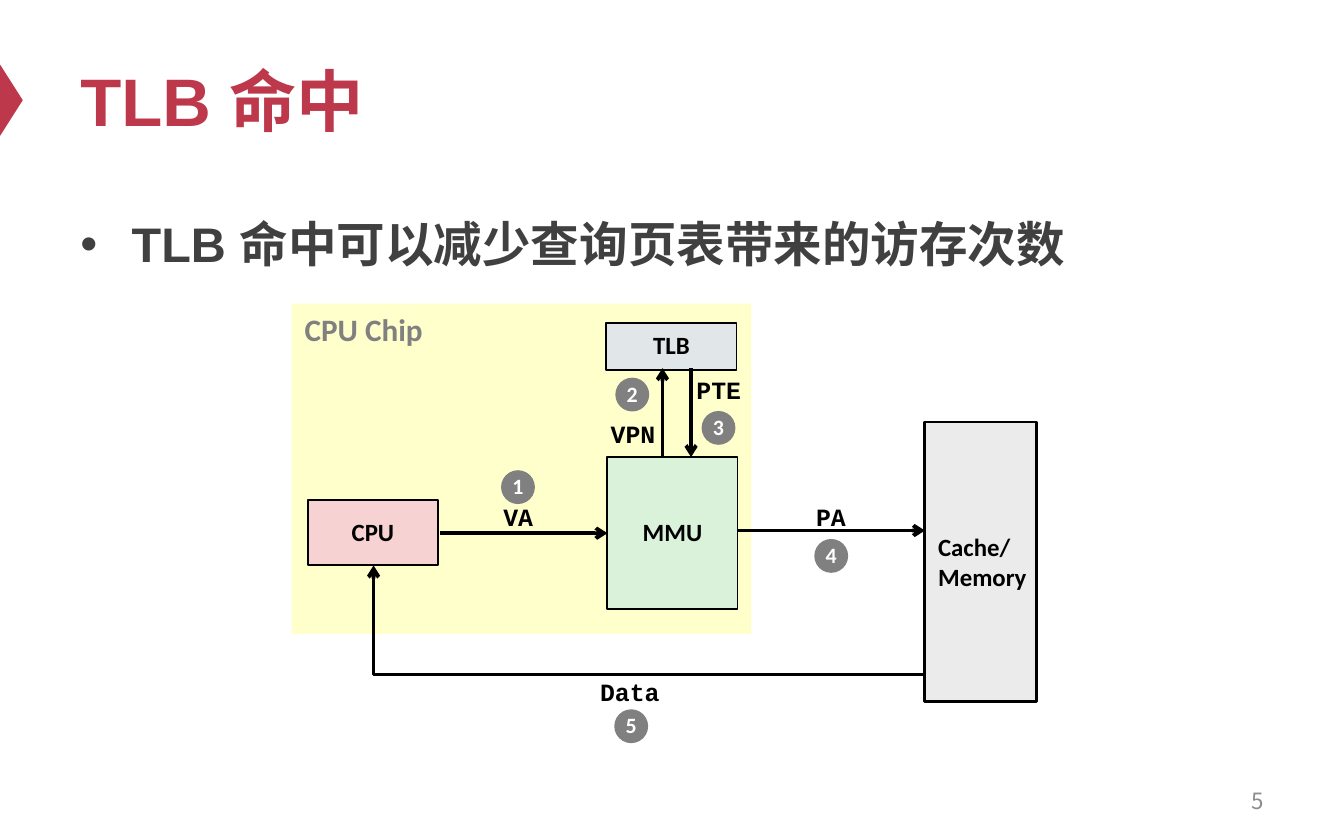
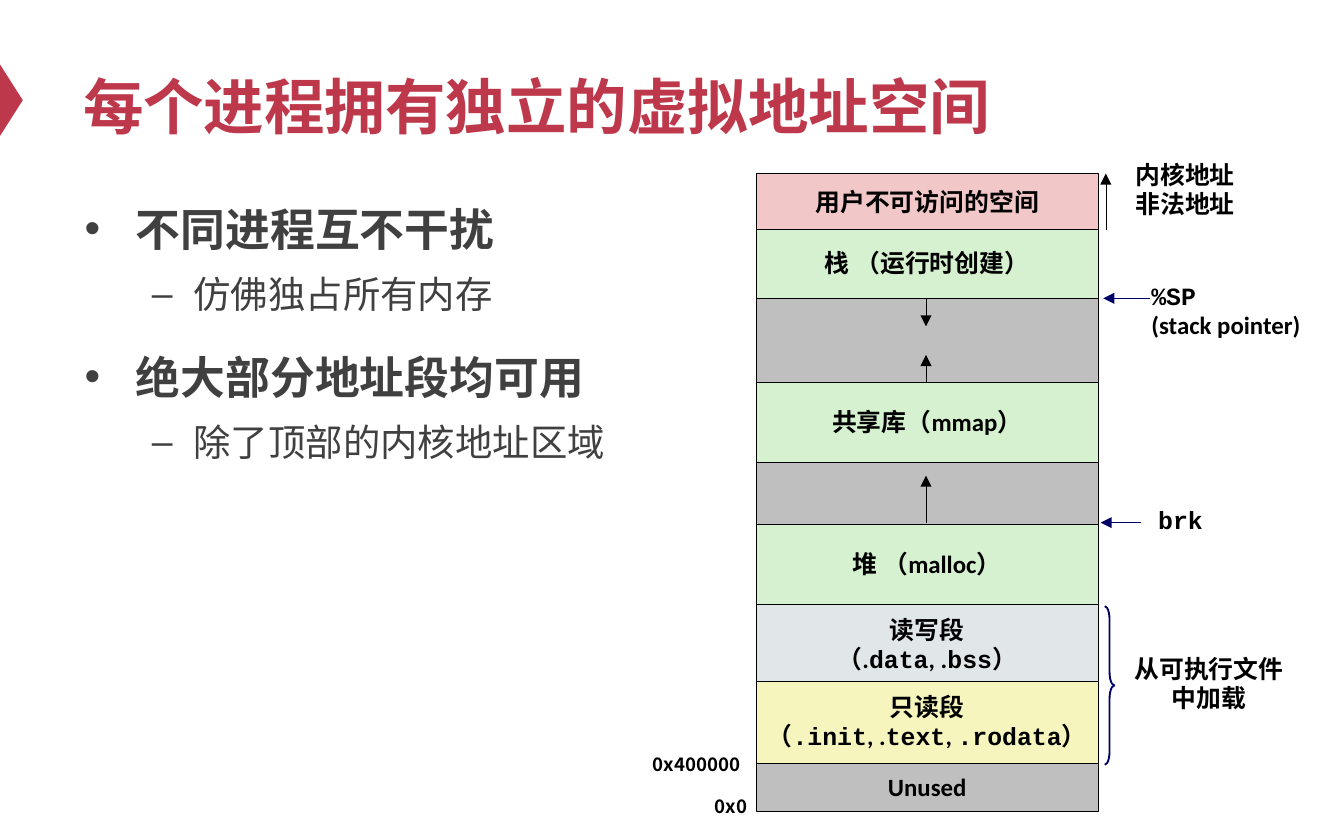
from lxml import etree
from pptx import Presentation
from pptx import util as u
from pptx.dml.color import RGBColor
from pptx.enum import shapes, text
from pptx.oxml.ns import qn

rgb = RGBColor.from_string
kind = shapes.MSO_SHAPE
LEFT, CENTER, RIGHT = text.PP_ALIGN.LEFT, text.PP_ALIGN.CENTER, text.PP_ALIGN.RIGHT
TOP, MIDDLE = text.MSO_ANCHOR.TOP, text.MSO_ANCHOR.MIDDLE

RED, GREY_TEXT, BADGE = "BE384B", "404040", "808080"
BLACK, WHITE, NAVY = "000000", "FFFFFF", "000066"
GREEN, STEEL, FREE = "D5F1CF", "E1E7E9", "BFBFBF"
SANS, MONO, CJK, HEADING = "Calibri", "Courier New", "Noto Sans CJK SC", "Arial"


def box(slide, place, lines=(), shape=None, fill=None, border=None, font=SANS, size=13.3,
        color=BLACK, bold=True, align=CENTER, anchor=MIDDLE, spacing=0.98, margin=0.2, wrap=False):
    """Add a shape, or a text box if shape is None; a line is a string or a list of (text, font)."""
    place = [u.Cm(v) for v in place]
    if shape is None:
        item = slide.shapes.add_textbox(*place)
    else:
        item = slide.shapes.add_shape(shape, *place)
        item.shadow.inherit = False
    if fill:
        item.fill.solid()
        item.fill.fore_color.rgb = rgb(fill)
    else:
        item.fill.background()
    if border:
        item.line.color.rgb = rgb(border[0])
        item.line.width = u.Pt(border[1])
    else:
        item.line.fill.background()

    frame = item.text_frame
    frame.word_wrap = wrap
    frame.vertical_anchor = anchor
    frame.margin_left = frame.margin_right = u.Cm(margin)
    frame.margin_top = frame.margin_bottom = u.Cm(margin / 2)
    for i, line in enumerate(lines):
        paragraph = frame.paragraphs[0] if i == 0 else frame.add_paragraph()
        paragraph.alignment = align
        paragraph.line_spacing = spacing
        for words, face in [(line, font)] if isinstance(line, str) else line:
            run = paragraph.add_run()
            run.text = words
            run.font.size = u.Pt(size)
            run.font.bold = bold
            run.font.color.rgb = rgb(color)
            run.font.name = face
            etree.SubElement(run.font._element, qn("a:ea"), typeface=CJK)
    return item


def arrow(slide, x1, y1, x2, y2, color=BLACK, width=0.25, head="triangle",
          route=shapes.MSO_CONNECTOR.STRAIGHT):
    link = slide.shapes.add_connector(route, u.Cm(x1), u.Cm(y1), u.Cm(x2), u.Cm(y2))
    link.line.color.rgb = rgb(color)
    link.line.width = u.Pt(width)
    etree.SubElement(link.line._get_or_add_ln(), qn("a:tailEnd"), type=head)
    etree.SubElement(link._element.spPr, qn("a:effectLst"))
    return link


deck = Presentation()
deck.slide_width, deck.slide_height = u.Cm(25.4), u.Cm(15.88)
hit, space = [deck.slides.add_slide(deck.slide_layouts[6]) for _ in range(2)]

# Marker, title and bullets of both slides
pages = [
    (hit, "TLB 命中", (1.27, 0.64, 22.86, 2.49), 36, HEADING,
     (1.27, 3.71, 22.86, 10.46), 26,
     [(0, "TLB 命中可以减少查询页表带来的访存次数")]),
    (space, "每个进程拥有独立的虚拟地址空间", (1.32, 0.84, 19.18, 2.29), 32.4, CJK,
     (1.35, 3.48, 19.41, 11.46), 24,
     [(0, "不同进程互不干扰"), (1, "仿佛独占所有内存"),
      (0, "绝大部分地址段均可用"), (1, "除了顶部的内核地址区域")]),
]
levels = [("•", 0.97, -0.97, 12), ("–", 2.06, -0.79, 4)]  # mark, margin, indent, space before
for slide, title, title_place, title_size, font, body_place, body_size, bullets in pages:
    marker = box(slide, (-0.46, 1.68, 1.35, 0.43), shape=kind.ISOSCELES_TRIANGLE, fill=RED)
    marker.rotation = 90
    box(slide, title_place, [title], font=font, size=title_size, color=RED, align=LEFT,
        spacing=1.0, margin=0.25, wrap=True)
    body = box(slide, body_place, [words for _, words in bullets], font=font, size=body_size,
               color=GREY_TEXT, align=LEFT, anchor=TOP, spacing=1.2, margin=0.25, wrap=True)
    for i, (level, _) in enumerate(bullets):
        mark, left, indent, before = levels[level]
        paragraph = body.text_frame.paragraphs[i]
        props = paragraph._p.get_or_add_pPr()
        props.set("marL", str(u.Cm(left)))
        props.set("indent", str(u.Cm(indent)))
        etree.SubElement(props, qn("a:buFont"), typeface="Arial")
        etree.SubElement(props, qn("a:buChar"), char=mark)
        paragraph.level = level
        if i:
            paragraph.space_before = u.Pt(before)
        if level:
            paragraph.runs[0].font.size = u.Pt(20)
            paragraph.runs[0].font.bold = False

# Slide 1: path of a TLB hit
box(hit, (18.21, 14.71, 5.92, 0.84), ["5"], font=CJK, size=12, color="8C8C8C", bold=False,
    align=RIGHT, spacing=1.0, margin=0.25, wrap=True)
box(hit, (5.51, 5.74, 8.69, 6.25), shape=kind.RECTANGLE, fill="FFFFCC")
box(hit, (5.51, 5.74, 2.77, 0.97), ["CPU Chip"], size=16.7, color=BADGE, align=LEFT,
    anchor=TOP, spacing=1.0, margin=0.25)
for name, fill, place in [
    ("MMU", "DBF2DA", (11.48, 8.64, 2.46, 2.87)),
    ("CPU", "F6D2D2", (5.82, 9.45, 2.46, 1.24)),
    ("TLB", STEEL, (11.46, 6.1, 2.46, 0.89)),
]:
    box(hit, place, [name], kind.RECTANGLE, fill, (BLACK, 1))
box(hit, (17.48, 7.98, 2.11, 5.28), ["Cache/", "Memory"], kind.RECTANGLE, "EBEBEB",
    (BLACK, 1.5), align=LEFT, spacing=1.0, margin=0.25)

for ends in [
    (8.31, 10.08, 11.48, 10.08),
    (12.52, 8.64, 12.52, 6.96),
    (13.06, 6.96, 13.06, 8.64),
    (13.94, 10.03, 17.48, 10.03),
]:
    arrow(hit, *ends, width=2, head="arrow")
data_return = arrow(hit, 7.06, 10.69, 17.48, 12.75, width=2, head="arrow",
                    route=shapes.MSO_CONNECTOR.ELBOW)
outline = data_return._element.spPr
outline.find(qn("a:prstGeom")).set("prst", "bentConnector2")
outline.find(qn("a:xfrm")).set("rot", "10800000")  # half turn: runs from memory back to the CPU

steps = [
    ("VA", (9.3, 9.4), 0.99, (9.47, 8.89)),
    ("VPN", (11.33, 7.82), 1.27, (11.63, 7.14)),
    ("PTE", (12.95, 6.99), 1.27, (13.26, 7.77)),
    ("PA", (15.21, 9.4), 0.99, (15.39, 10.19)),
    ("Data", (11.13, 12.7), 1.55, (11.61, 13.41)),
]
for number, (signal, corner, width, badge) in enumerate(steps, 1):
    box(hit, (*corner, width, 0.79), [signal], font=MONO)
    box(hit, (*badge, 0.64, 0.64), [str(number)], kind.OVAL, BADGE, size=11.7, color=WHITE)

# Slide 2: layout of the address space, later segments cover earlier ones
segments = [
    (3.28, 1.12, "F1C7C7", ["用户不可访问的空间"]),
    (7.21, 1.55, GREEN, ["共享库（mmap）"]),
    (8.74, 1.17, FREE, []),
    (9.91, 1.55, GREEN, ["堆 （malloc）"]),
    (5.11, 2.11, FREE, []),
    (4.34, 1.3, GREEN, ["栈 （运行时创建）"]),
    (14.43, 0.91, FREE, ["Unused"]),
    (11.43, 1.55, STEEL, ["读写段", [
        ("（.", SANS), ("data", MONO), (", .", SANS), ("bss", MONO), ("）", SANS)]]),
    (12.88, 1.55, "F6F5BD", ["只读段", [
        ("（", SANS), (".init", MONO), (", .", SANS), ("text", MONO), (", ", SANS),
        (".rodata", MONO), ("）", SANS)]]),
]
for top, height, fill, lines in segments:
    box(space, (14.3, top, 6.45, height), lines, kind.RECTANGLE, fill, (BLACK, 0.25))

for x1, y1, x2, y2, color in [
    (17.5, 5.64, 17.5, 6.17, BLACK),
    (17.5, 7.24, 17.5, 6.71, BLACK),
    (17.5, 9.88, 17.5, 8.99, BLACK),
    (20.9, 4.34, 20.9, 3.28, BLACK),
    (21.74, 5.64, 20.85, 5.64, NAVY),
    (21.56, 9.88, 20.8, 9.88, NAVY),
]:
    arrow(space, x1, y1, x2, y2, color)

loaded = box(space, (20.88, 11.46, 0.18, 3), shape=kind.RIGHT_BRACE, border=(NAVY, 1))
loaded.adjustments[0] = 1.417

for place, lines, font, size, align in [
    ((13.31, 14.94, 1.07, 0.64), ["0x0"], CJK, 10, LEFT),
    ((12.14, 14.15, 2.16, 0.61), ["0x400000"], CJK, 10, LEFT),
    ((21.26, 2.95, 2.41, 1.35), ["内核地址", "非法地址"], SANS, 13.3, LEFT),
    ((21.69, 9.47, 1.27, 0.76), ["brk"], MONO, 13.3, LEFT),
    ((21.21, 12.29, 3.28, 1.35), ["从可执行文件", "中加载"], SANS, 13.3, CENTER),
]:
    box(space, place, lines, font=font, size=size, align=align, anchor=TOP)
box(space, (21.56, 5.23, 3.33, 1.32), [[("%SP", MONO)], "(stack pointer)"], align=LEFT,
    anchor=TOP, wrap=True)

deck.save("out.pptx")
